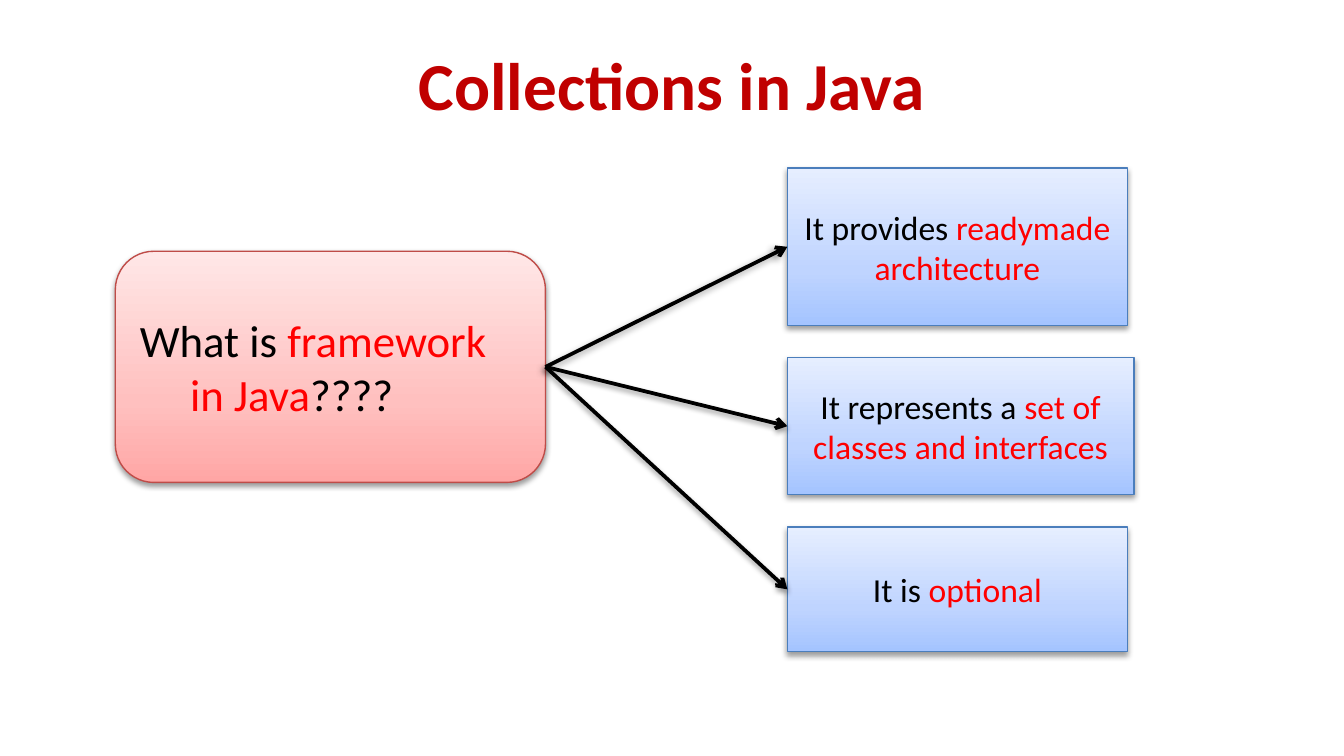
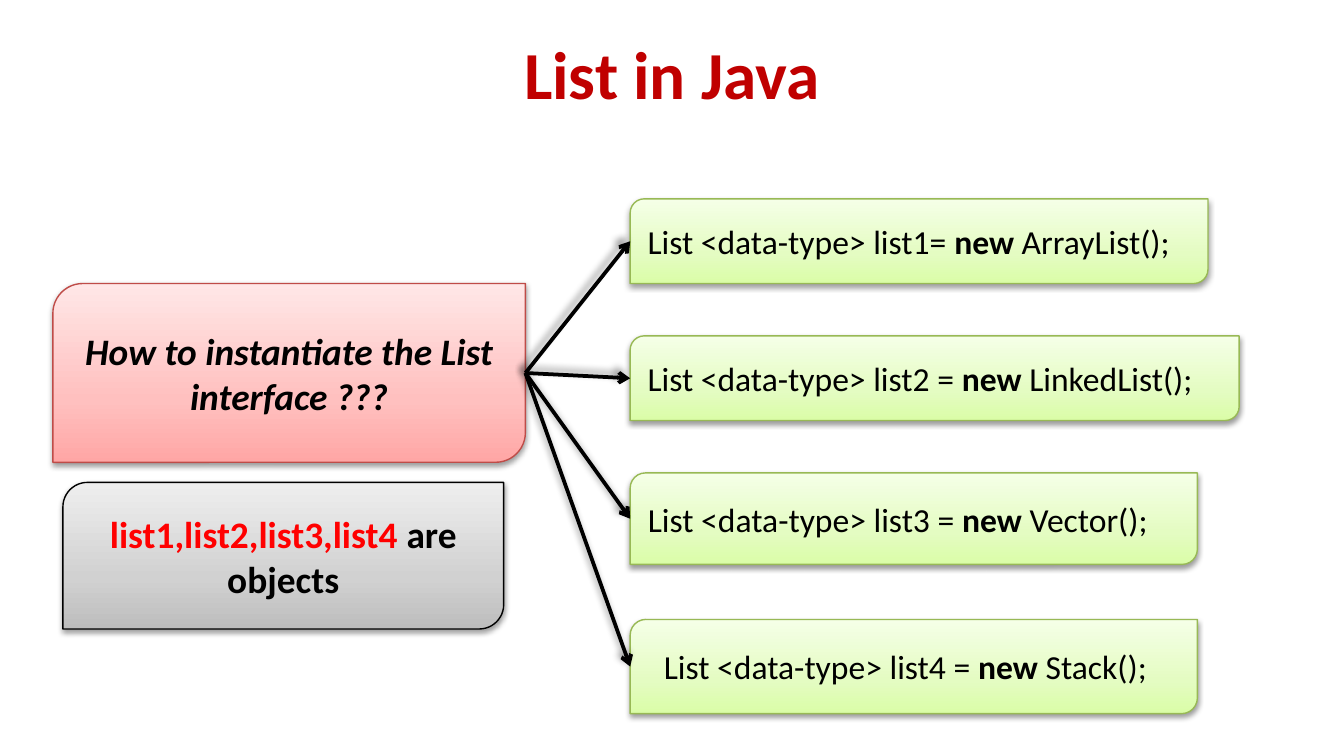
"""Build two slides on Java collections: frameworks and the List interface."""
from copy import deepcopy
from dataclasses import dataclass

from lxml.etree import SubElement
from pptx import Presentation
from pptx.dml.color import RGBColor
from pptx.enum.shapes import MSO_CONNECTOR, MSO_SHAPE
from pptx.enum.text import MSO_ANCHOR, PP_ALIGN
from pptx.oxml.ns import qn
from pptx.shapes.autoshape import Shape
from pptx.slide import Slide
from pptx.util import Cm, Pt

FONT = "Calibri"
COLORS = {
    "title": "C00000",
    "text": "000000",
    "accent": "FF0000",
    "arrow": "000000",
    "shadow": "000000",
}
STOPS = (0, 0.35, 1)
THEMES = {
    "red": ("BF4C48", ("FFA6A5", "FFC0BF", "FFE7E7")),
    "blue": ("4B7EBC", ("A4C4FF", "BFD4FF", "E6EEFF")),
    "green": ("98B955", ("DAFDA7", "E4FCC2", "F5FFE7")),
    "gray": ("000000", ("BDBDBD", "D1D1D1", "EEEEEE")),
}
RIGHT, LEFT = 3, 1


@dataclass(frozen=True)
class Shadow:
    alpha: int
    blur: float
    dist: float
    angle: int


SOFT = Shadow(38, 3.1, 1.6, 90)
LEFTWARD = Shadow(40, 4, 3, 135)
UPWARD = Shadow(40, 4, 3, 225)


@dataclass(frozen=True)
class Span:
    text: str
    color: str = "text"
    bold: bool = False
    italic: bool = False


@dataclass(frozen=True)
class Box:
    left: float
    top: float
    width: float
    height: float
    theme: str
    spans: tuple[Span, ...]
    size: int = 18
    kind: MSO_SHAPE = MSO_SHAPE.ROUND_2_DIAG_RECTANGLE
    align: PP_ALIGN = PP_ALIGN.CENTER
    margin: float = 0
    indent: float = 0
    before: float = 0


def rgb(name: str) -> RGBColor:
    """Return a named colour."""
    return RGBColor.from_string(COLORS[name])


def add_shadow(effects, shadow: Shadow) -> None:
    """Put an outer shadow in an effect list."""
    outer = SubElement(
        effects, qn("a:outerShdw"), blurRad=str(Pt(shadow.blur)),
        dist=str(Pt(shadow.dist)), dir=str(shadow.angle * 60000), rotWithShape="0",
    )
    color = SubElement(outer, qn("a:srgbClr"), val=COLORS["shadow"])
    SubElement(color, qn("a:alpha"), val=str(shadow.alpha * 1000))


def paint(sp: Shape, theme: str) -> None:
    """Give a shape its gradient, outline and shadow."""
    line, shades = THEMES[theme]
    sp.fill.gradient()
    sp.fill.gradient_angle = 90
    spPr = sp._element.spPr
    stops = spPr.find(".//" + qn("a:gsLst"))
    stops.append(deepcopy(stops[-1]))
    for stop, position, shade in zip(sp.fill.gradient_stops, STOPS, shades):
        stop.position = position
        stop.color.rgb = RGBColor.from_string(shade)
    sp.line.color.rgb = RGBColor.from_string(line)
    sp.line.width = Pt(0.75)
    sp.shadow.inherit = False
    add_shadow(spPr.find(qn("a:effectLst")), SOFT)


def add_box(s: Slide, box: Box) -> Shape:
    """Draw a gradient box with its text."""
    sp = s.shapes.add_shape(
        box.kind, Cm(box.left), Cm(box.top), Cm(box.width), Cm(box.height))
    paint(sp, box.theme)
    tf = sp.text_frame
    tf.word_wrap = True
    tf.vertical_anchor = MSO_ANCHOR.MIDDLE
    p = tf.paragraphs[0]
    p.alignment = box.align
    p.space_before = Pt(box.before)
    pPr = p._p.get_or_add_pPr()
    pPr.set("marL", str(Cm(box.margin)))
    pPr.set("indent", str(Cm(box.indent)))
    for span in box.spans:
        r = p.add_run()
        r.text = span.text
        r.font.name = FONT
        r.font.size = Pt(box.size)
        r.font.bold = span.bold
        r.font.italic = span.italic
        r.font.color.rgb = rgb(span.color)
    return sp


def add_arrow(s: Slide, source: Shape, target: Shape, shadow: Shadow) -> None:
    """Draw an arrow from the right side of one box to the left of another."""
    cx = s.shapes.add_connector(
        MSO_CONNECTOR.STRAIGHT,
        source.left + source.width, source.top + source.height // 2,
        target.left, target.top + target.height // 2,
    )
    if target.auto_shape_type == MSO_SHAPE.RECTANGLE:
        cx.begin_connect(source, RIGHT)
        cx.end_connect(target, LEFT)
    cx.line.color.rgb = rgb("arrow")
    cx.line.width = Pt(2)
    spPr = cx._element.spPr
    SubElement(spPr.find(qn("a:ln")), qn("a:tailEnd"), type="arrow")
    add_shadow(SubElement(spPr, qn("a:effectLst")), shadow)


def add_titled_slide(prs: Presentation, title: str, height: float) -> Slide:
    """Add a blank slide with a centred title."""
    s = prs.slides.add_slide(prs.slide_layouts[6])
    tf = s.shapes.add_textbox(Cm(1.75), Cm(0.76), Cm(21.9), Cm(height)).text_frame
    tf.word_wrap = True
    tf.vertical_anchor = MSO_ANCHOR.MIDDLE
    tf.text = title
    p = tf.paragraphs[0]
    p.alignment = PP_ALIGN.CENTER
    font = p.runs[0].font
    font.name, font.size, font.bold = FONT, Pt(36), True
    font.color.rgb = rgb("title")
    return s


def build_collections(prs: Presentation) -> None:
    """Build the slide that explains a framework."""
    s = add_titled_slide(prs, "Collections in Java", 1.63)
    question = add_box(s, Box(
        2.18, 4.75, 8.13, 4.37, "red",
        (Span("What is "), Span("framework in Java", "accent"), Span("????")),
        24, MSO_SHAPE.ROUNDED_RECTANGLE, PP_ALIGN.LEFT, 0.95, -0.95, 4.8))
    facts = (
        (3.18, 6.43, 2.97, "It provides ", "readymade architecture"),
        (6.76, 6.55, 2.59, "It represents a ", "set of classes and interfaces"),
        (9.96, 6.43, 2.36, "It is ", "optional"),
    )
    answers = [
        add_box(s, Box(14.88, top, width, height, "blue",
                       (Span(lead), Span(key, "accent")), kind=MSO_SHAPE.RECTANGLE))
        for top, width, height, lead, key in facts
    ]
    for answer, shadow in zip(answers, (LEFTWARD, SOFT, SOFT)):
        add_arrow(s, question, answer, shadow)


def build_list(prs: Presentation) -> None:
    """Build the slide that instantiates the List interface."""
    s = add_titled_slide(prs, "List in Java", 1.22)
    question = add_box(s, Box(
        1, 5.36, 8.93, 3.38, "red",
        (Span("How to instantiate the List interface ???", bold=True, italic=True),), 20))
    statements = (
        (3.76, 10.92, 1.6, "list1= ", "ArrayList", 0),
        (6.35, 11.51, 1.6, "list2 = ", "LinkedList", 0),
        (8.94, 10.72, 1.73, "list3 = ", "Vector", 0),
        (11.71, 10.72, 1.78, "list4 = ", "Stack", 0.3),
    )
    examples = [
        add_box(s, Box(11.91, top, width, height, "green",
                       (Span(f"List <data-type> {name}"), Span("new ", bold=True),
                        Span(f"{cls}();")),
                       align=PP_ALIGN.LEFT, margin=margin))
        for top, width, height, name, cls, margin in statements
    ]
    add_box(s, Box(
        1.19, 9.12, 8.33, 2.77, "gray",
        (Span("list1,list2,list3,list4 ", "accent", True),
         Span("are objects", bold=True)), 20))
    for example in examples:
        add_arrow(s, question, example, UPWARD)


def main() -> None:
    """Build and save the presentation."""
    prs = Presentation()
    prs.slide_width, prs.slide_height = Cm(25.4), Cm(14.29)
    build_collections(prs)
    build_list(prs)
    prs.save("out.pptx")


if __name__ == "__main__":
    main()
